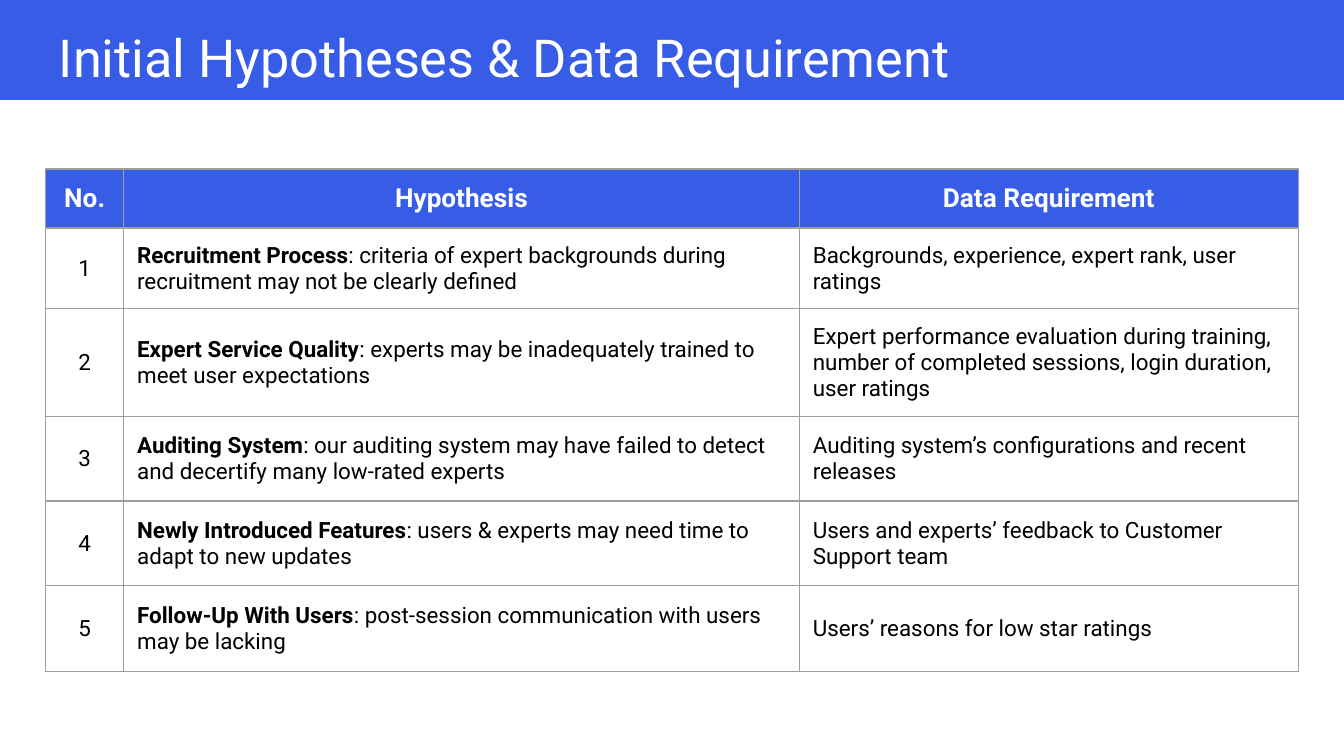
from lxml.etree import SubElement
from pptx import Presentation
from pptx.dml.color import RGBColor
from pptx.enum.shapes import MSO_SHAPE
from pptx.enum.text import MSO_ANCHOR, PP_ALIGN
from pptx.oxml.ns import qn
from pptx.util import Pt

BLUE, WHITE, BLACK, GRAY = "375DE7", "FFFFFF", "000000", "9E9E9E"
INSET = 7.2

COLUMN_WIDTHS = [41.8, 362, 267.2]
ROW_HEIGHTS = [31.7, 42.4, 56.9, 45.4, 45.4, 46]
HEADINGS = ["No.", "Hypothesis", "Data Requirement"]
HYPOTHESES = [
    ("Recruitment Process",
     ": criteria of expert backgrounds during recruitment may not be clearly defined",
     "Backgrounds, experience, expert rank, user ratings"),
    ("Expert Service Quality",
     ": experts may be inadequately trained to meet user expectations",
     "Expert performance evaluation during training, number of completed sessions, "
     "login duration, user ratings"),
    ("Auditing System",
     ": our auditing system may have failed to detect and decertify many low-rated experts",
     "Auditing system’s configurations and recent releases"),
    ("Newly Introduced Features",
     ": users & experts may need time to adapt to new updates",
     "Users and experts’ feedback to Customer Support team"),
    ("Follow-Up With Users",
     ": post-session communication with users may be lacking",
     "Users’ reasons for low star ratings"),
]


def color(hex_value):
    return RGBColor.from_string(hex_value)


def paint(target, hex_value):
    target.fill.solid()
    target.fill.fore_color.rgb = color(hex_value)


def add_text(paragraph, text, size=12, ink=BLACK, bold=False, align=PP_ALIGN.LEFT):
    paragraph.alignment = align
    run = paragraph.add_run()
    run.text = text
    run.font.name = "Roboto"
    run.font.size = Pt(size)
    run.font.bold = bold
    run.font.color.rgb = color(ink)


def set_borders(cell, hex_value, width):
    properties = cell._tc.get_or_add_tcPr()
    for position, side in enumerate(("a:lnL", "a:lnR", "a:lnT", "a:lnB")):
        line = SubElement(properties, qn(side), w=str(Pt(width)))
        fill = SubElement(line, qn("a:solidFill"))
        SubElement(fill, qn("a:srgbClr"), val=hex_value)
        properties.insert(position, line)  # borders precede the fill


def title_band(slide, left, top, width, height):
    # Blue band
    band = slide.shapes.add_shape(MSO_SHAPE.RECTANGLE, Pt(left), Pt(top), Pt(width), Pt(height))
    band.shadow.inherit = False
    paint(band, BLUE)
    band.line.fill.background()

    # Title
    title = slide.shapes.add_textbox(Pt(left + 25), Pt(top + 5), Pt(width - 50), Pt(height - 8.6))
    frame = title.text_frame
    frame.word_wrap = True
    frame.vertical_anchor = MSO_ANCHOR.TOP
    frame.margin_left = frame.margin_right = frame.margin_bottom = Pt(INSET)
    frame.margin_top = Pt(9)
    add_text(frame.paragraphs[0], "Initial Hypotheses & Data Requirement", size=28, ink=WHITE)


def hypothesis_table(slide, left, top, width, height):
    table = slide.shapes.add_table(len(ROW_HEIGHTS), len(COLUMN_WIDTHS),
                                   Pt(left), Pt(top), Pt(width), Pt(height)).table
    for column, column_width in zip(table.columns, COLUMN_WIDTHS):
        column.width = Pt(column_width)
    for row, row_height in zip(table.rows, ROW_HEIGHTS):
        row.height = Pt(row_height)

    # Shared cell format
    for index, cell in enumerate(table.iter_cells()):
        paint(cell, BLUE if index < len(HEADINGS) else WHITE)
        set_borders(cell, GRAY, 0.75)
        cell.vertical_anchor = MSO_ANCHOR.MIDDLE
        cell.margin_left = cell.margin_right = Pt(INSET)
        cell.margin_top = cell.margin_bottom = Pt(INSET)

    def cell_text(row, column):
        return table.cell(row, column).text_frame.paragraphs[0]

    # Heading row
    for column, heading in enumerate(HEADINGS):
        add_text(cell_text(0, column), heading, size=14, ink=WHITE, bold=True,
                 align=PP_ALIGN.CENTER)

    # One row per hypothesis
    for number, (topic, claim, requirement) in enumerate(HYPOTHESES, start=1):
        add_text(cell_text(number, 0), str(number), align=PP_ALIGN.CENTER)
        add_text(cell_text(number, 1), topic, bold=True)
        add_text(cell_text(number, 1), claim)
        add_text(cell_text(number, 2), requirement)


def main():
    deck = Presentation()
    deck.slide_width, deck.slide_height = Pt(720), Pt(405)
    slide = deck.slides.add_slide(deck.slide_layouts[6])
    title_band(slide, -0.5, -0.5, 721, 54)
    hypothesis_table(slide, 24.5, 90.5, sum(COLUMN_WIDTHS), sum(ROW_HEIGHTS))
    deck.save("out.pptx")


if __name__ == "__main__":
    main()
